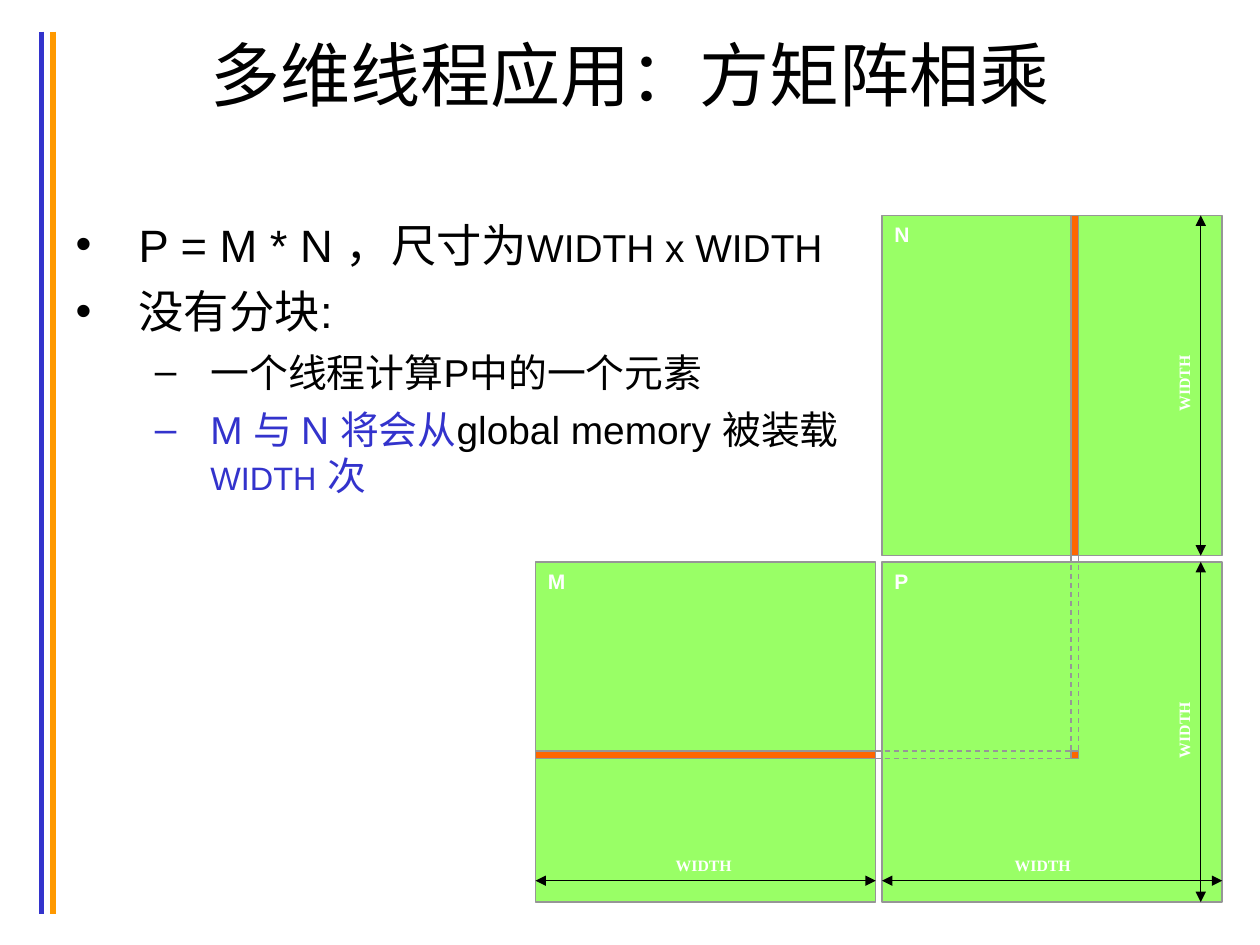
from lxml import etree
from pptx import Presentation
from pptx.dml.color import RGBColor
from pptx.enum.dml import MSO_LINE
from pptx.enum.shapes import MSO_CONNECTOR, MSO_SHAPE
from pptx.enum.text import MSO_ANCHOR, MSO_AUTO_SIZE, PP_ALIGN
from pptx.oxml.ns import qn
from pptx.util import Inches, Pt

RECT = MSO_SHAPE.RECTANGLE
STRAIGHT = MSO_CONNECTOR.STRAIGHT
DASH = MSO_LINE.DASH
TOP, MIDDLE = MSO_ANCHOR.TOP, MSO_ANCHOR.MIDDLE
LEFT, CENTER = PP_ALIGN.LEFT, PP_ALIGN.CENTER
NO_FIT = MSO_AUTO_SIZE.NONE

COLORS = {"black": "000000", "white": "FFFFFF", "blue": "3333CC", "amber": "FF9900",
          "green": "99FF66", "orange": "FF6600", "gray": "969696"}

SIDE, GAP = 2.7, 0.05       # matrix square and the gap between squares
STRIP = 0.06                # width of the highlighted row and column
COL, ROW = 1.5, 1.5         # offset of the strips inside their matrix
ARROW_INSET = 0.17          # dimension arrows, from the outer edge

# level, space before, bullet, bullet colour, runs (text, size, colour)
BODY = [
    (0, 0, "•", "black", [("P = M * N ，尺寸为", 25.9, "black"),
                          ("WIDTH x WIDTH", 22.2, "black")]),
    (0, 7, "•", "black", [("没有分块:", 25.9, "black")]),
    (1, 6, "–", "black", [("一个线程计算P中的一个元素", 22.2, "black")]),
    (1, 6, "–", "blue", [("M 与 N 将会从", 22.2, "blue"),
                         ("global memory 被装载", 22.2, "black"),
                         ("WIDTH", 18.5, "blue"), (" 次", 22.2, "blue")]),
]
INDENTS = [(0.5, -0.5), (1.07, -0.44)]


def rgb(name):
    return RGBColor.from_string(COLORS[name])


def place(sp, x, y, w, h):
    sp.left, sp.top, sp.width, sp.height = (Inches(v) for v in (x, y, w, h))


def add_run(p, text, size, color, font="Arial", bold=False):
    r = p.add_run()
    r.text = text
    r.font.size, r.font.name, r.font.bold = Pt(size), font, bold
    r.font.color.rgb = rgb(color)


def add_line(slide, x1, y1, x2, y2, color, width, dash=None, arrows=False):
    line = slide.shapes.add_connector(
        STRAIGHT, Inches(x1), Inches(y1), Inches(x2), Inches(y2))
    line.line.color.rgb = rgb(color)
    line.line.width = Pt(width)
    if dash:
        line.line.dash_style = dash
    if arrows:
        ln = line.line._get_or_add_ln()
        for end in ("a:headEnd", "a:tailEnd"):
            etree.SubElement(ln, qn(end), type="triangle")
    etree.SubElement(line._element.spPr, qn("a:effectLst"))


def add_rect(slide, x, y, w, h, fill):
    sp = slide.shapes.add_shape(RECT, Inches(x), Inches(y), Inches(w), Inches(h))
    sp.shadow.inherit = False
    sp.fill.solid()
    sp.fill.fore_color.rgb = rgb(fill)
    sp.line.color.rgb = rgb("gray")
    sp.line.width = Pt(0.75)
    return sp


def add_matrix(slide, name, x, y):
    tf = add_rect(slide, x, y, SIDE, SIDE, "green").text_frame
    tf.vertical_anchor = TOP
    p = tf.paragraphs[0]
    p.alignment = LEFT
    add_run(p, name, 12, "white", bold=True)


def add_width_label(slide, x, y, rotation=0):
    sp = slide.shapes.add_textbox(Inches(x), Inches(y), Inches(0.45), Inches(0.15))
    sp.rotation = rotation
    tf = sp.text_frame
    tf.margin_left = tf.margin_right = tf.margin_top = tf.margin_bottom = 0
    tf.word_wrap = False
    tf.auto_size = MSO_AUTO_SIZE.SHAPE_TO_FIT_TEXT
    p = tf.paragraphs[0]
    p.alignment = CENTER
    add_run(p, "WIDTH", 9, "white", "Times New Roman", True)


def add_side_bars(slide, x, y, h):
    for offset, color in ((0, "blue"), (0.09, "amber")):
        add_line(slide, x + offset, y, x + offset, y + h, color, 3)


def fill_title(slide, x, y, w, h):
    sp = slide.shapes.title
    place(sp, x, y, w, h)
    tf = sp.text_frame
    tf.auto_size, tf.vertical_anchor = NO_FIT, MIDDLE
    p = tf.paragraphs[0]
    p.alignment = CENTER
    add_run(p, "多维线程应用：方矩阵相乘", 40, "black")


def set_bullet(p, char, color, level):
    pPr = p._p.get_or_add_pPr()
    margin, indent = INDENTS[level]
    pPr.set("marL", str(Inches(margin)))
    pPr.set("indent", str(Inches(indent)))
    clr = etree.SubElement(pPr, qn("a:buClr"))
    etree.SubElement(clr, qn("a:srgbClr"), val=COLORS[color])
    etree.SubElement(pPr, qn("a:buFont"), typeface="Arial")
    etree.SubElement(pPr, qn("a:buChar"), char=char)


def fill_body(slide, x, y, w, h):
    sp = slide.placeholders[1]
    place(sp, x, y, w, h)
    tf = sp.text_frame
    tf.auto_size, tf.word_wrap = NO_FIT, True
    for i, (level, before, char, color, runs) in enumerate(BODY):
        p = tf.add_paragraph() if i else tf.paragraphs[0]
        p.level = level
        p.space_before = Pt(before)
        set_bullet(p, char, color, level)
        for text, size, run_color in runs:
            add_run(p, text, size, run_color)


def add_matrix_diagram(slide, x, y):
    """Draw M at lower left, N at upper right and P where they meet."""
    px, py = x + SIDE + GAP, y + SIDE + GAP
    right, bottom = px + SIDE, py + SIDE
    col, row = px + COL, py + ROW
    for name, left, top in (("M", x, py), ("N", px, y), ("P", px, py)):
        add_matrix(slide, name, left, top)

    add_rect(slide, col, y, STRIP, SIDE, "orange")
    add_rect(slide, x, row, SIDE, STRIP, "orange")
    add_rect(slide, col, row, STRIP, STRIP, "orange")
    for offset in (0, STRIP):
        add_line(slide, col + offset, y + SIDE, col + offset, row, "gray", 0.75, DASH)
        add_line(slide, x + SIDE, row + offset, col, row + offset, "gray", 0.75, DASH)

    arrow_x, arrow_y = right - ARROW_INSET, bottom - ARROW_INSET
    for top in (y, py):
        add_line(slide, arrow_x, top + SIDE, arrow_x, top, "black", 0.5, arrows=True)
        add_width_label(slide, arrow_x - 0.36, top + 1.26, 270)
    for left, label_offset in ((x, 1.11), (px, 1.05)):
        add_line(slide, left + SIDE, arrow_y, left, arrow_y, "black", 0.5, arrows=True)
        add_width_label(slide, left + label_offset, arrow_y - 0.2)


def main():
    prs = Presentation()
    prs.slide_width, prs.slide_height = Inches(10), Inches(7.5)
    slide = prs.slides.add_slide(prs.slide_layouts[1])
    add_side_bars(slide, 0.33, 0.25, 7)
    fill_title(slide, 0.25, 0, 9.5, 1.17)
    fill_body(slide, 0.5, 1.67, 6.5, 2.29)
    add_matrix_diagram(slide, 4.25, 1.71)
    prs.save("out.pptx")


if __name__ == "__main__":
    main()
